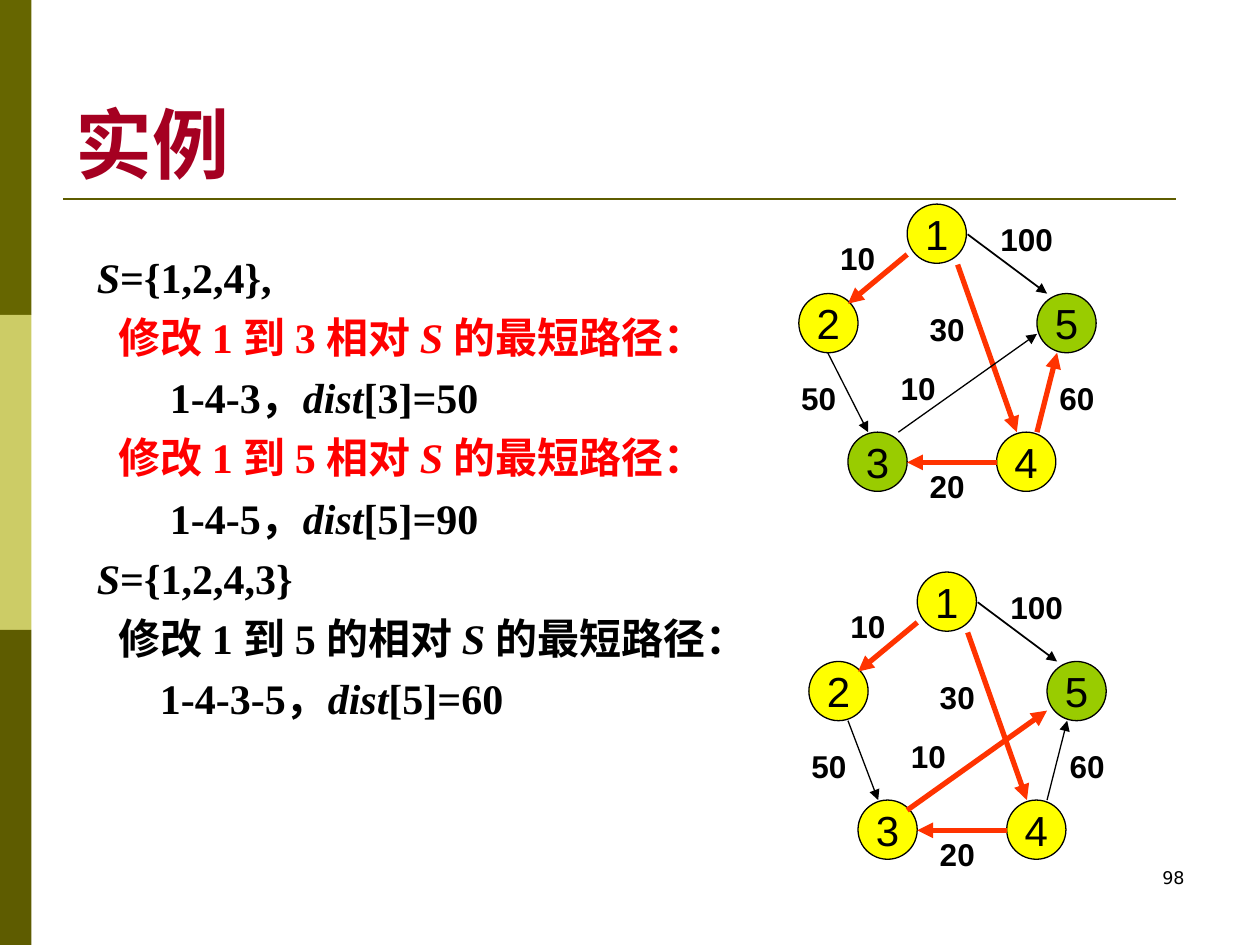
"""Build a slide tracing a shortest-path example on two weighted graphs."""
import lxml.etree
import pptx
import pptx.dml.color
import pptx.enum.shapes
import pptx.enum.text
import pptx.oxml.ns
import pptx.util

Inches = pptx.util.Inches
Pt = pptx.util.Pt
Shape = pptx.enum.shapes.MSO_SHAPE
Align = pptx.enum.text.PP_ALIGN
Anchor = pptx.enum.text.MSO_ANCHOR
qn = pptx.oxml.ns.qn


def color(value):
    return pptx.dml.color.RGBColor.from_string(value)


def connect(shapes, start, end, hue, width, arrow=True):
    line = shapes.add_connector(
        pptx.enum.shapes.MSO_CONNECTOR.STRAIGHT, *map(Inches, start + end))
    line.line.color.rgb = color(hue)
    line.line.width = Pt(width)
    if arrow:
        lxml.etree.SubElement(line.line._ln, qn("a:tailEnd"), type="triangle")
    lxml.etree.SubElement(line._element.spPr, qn("a:effectLst"))


deck = pptx.Presentation()
deck.slide_width, deck.slide_height = Inches(10), Inches(7.5)
slide = deck.slides.add_slide(deck.slide_layouts[6])

for row, hue in enumerate(["666600", "CCCC66", "5E5C00"]):
    band = slide.shapes.add_shape(
        Shape.RECTANGLE, 0, Inches(2.5 * row), Inches(0.25), Inches(2.5))
    band.shadow.inherit = False
    band.fill.solid()
    band.fill.fore_color.rgb = color(hue)
    band.line.fill.background()
connect(slide.shapes, (0.5, 1.58), (9.33, 1.58), "5E5C00", 1.5, arrow=False)

captions = [
    ("实例", (0.5, 0.3, 9, 1.25), 44, "Times New Roman", "A50021", True, Align.LEFT, Anchor.BOTTOM),
    ("98", (7.17, 6.83, 2.33, 0.5), 10, "DejaVu Sans", "000000", False, Align.RIGHT, Anchor.TOP),
]
for text, place, size, face, hue, bold, align, anchor in captions:
    caption = slide.shapes.add_textbox(*map(Inches, place)).text_frame
    caption.word_wrap = True
    caption.vertical_anchor = anchor
    paragraph = caption.paragraphs[0]
    paragraph.text = text
    paragraph.alignment = align
    paragraph.font.size, paragraph.font.name = Pt(size), face
    paragraph.font.bold = bold
    paragraph.font.color.rgb = color(hue)

steps = [
    (0, "000000", ["", "S", "={1,2,4},"]),
    (0.17, "FF0000", ["修改 1 到 3 相对 ", "S ", "的最短路径："]),
    (0.58, "000000", ["1-4-3，", "dist", "[3]=50"]),
    (0.17, "FF0000", ["修改 1 到 5 相对 ", "S ", "的最短路径："]),
    (0.58, "000000", ["1-4-5，", "dist", "[5]=90"]),
    (0, "000000", ["", "S", "={1,2,4,3}"]),
    (0.17, "000000", ["修改 1 到 5 的相对 ", "S ", "的最短路径："]),
    (0.5, "000000", ["1-4-3-5，", "dist", "[5]=60"]),
]
derivation = slide.shapes.add_textbox(*map(Inches, (0.67, 1.95, 5.98, 4.95))).text_frame
derivation.word_wrap = True
for index, (indent, hue, parts) in enumerate(steps):
    paragraph = derivation.add_paragraph() if index else derivation.paragraphs[0]
    paragraph._p.get_or_add_pPr().set("marL", str(Inches(indent)))
    paragraph.space_before = Pt(5.5)
    paragraph.font.size, paragraph.font.name = Pt(24), "Times New Roman"
    paragraph.font.bold = True
    paragraph.font.color.rgb = color(hue)
    for position, part in enumerate(parts):
        if part:
            run = paragraph.add_run()
            run.text = part
            run.font.italic = position == 1

nodes = {"1": (0.94, 0), "2": (0.08, 0.71), "3": (0.47, 1.81),
         "4": (1.65, 1.81), "5": (1.97, 0.71)}
weights = [("10", 0.31, 0.23), ("100", 1.58, 0.08), ("30", 1.02, 0.79),
           ("60", 2.05, 1.34), ("20", 1.02, 2.04), ("10", 0.79, 1.26),
           ("50", 0, 1.34)]
edges = {"15": (1.42, 0.24, 2.05, 0.71), "14": (1.34, 0.48, 1.81, 1.81),
         "35": (0.87, 1.81, 1.97, 1.03), "45": (1.97, 1.81, 2.13, 1.18),
         "12": (0.94, 0.4, 0.47, 0.79), "23": (0.31, 1.18, 0.63, 1.81),
         "43": (1.65, 2.05, 0.94, 2.05)}
graphs = [
    (6.26, 1.62, "35", ["14", "45", "12", "43"], {}),
    (6.34, 4.54, "5", ["14", "12", "43", "35"],
     {"35": (0.86, 1.89, 1.97, 1.1), "23": (0.39, 1.18, 0.63, 1.81)}),
]
for left, top, pending, chosen, rerouted in graphs:
    graph = slide.shapes.add_group_shape().shapes
    for label, (x, y) in nodes.items():
        node = graph.add_shape(
            Shape.OVAL, *map(Inches, (left + x, top + y, 0.47, 0.47)))
        node.shadow.inherit = False
        node.fill.solid()
        node.fill.fore_color.rgb = color("99CC00" if label in pending else "FFFF00")
        node.line.color.rgb = color("000000")
        node.line.width = Pt(0.75)
        node.text_frame.word_wrap = False
        node.text_frame.vertical_anchor = Anchor.MIDDLE
        paragraph = node.text_frame.paragraphs[0]
        paragraph.text = label
        paragraph.alignment = Align.CENTER
        paragraph.font.size, paragraph.font.name = Pt(24), "Arial"
        paragraph.font.color.rgb = color("000000")
    for weight, x, y in weights:
        width = 0.79 if len(weight) == 3 else 0.55
        cost = graph.add_textbox(*map(Inches, (left + x, top + y, width, 0.4))).text_frame
        cost.word_wrap = True
        paragraph = cost.paragraphs[0]
        paragraph.text = weight
        paragraph.font.size, paragraph.font.name = Pt(18), "Arial"
        paragraph.font.bold = True
        paragraph.font.color.rgb = color("000000")
    for edge, ends in (edges | rerouted).items():
        x1, y1, x2, y2 = ends
        hue, width = ("FF3300", 3) if edge in chosen else ("000000", 1 if edge == "15" else 0.75)
        connect(graph, (left + x1, top + y1), (left + x2, top + y2), hue, width)

deck.save("out.pptx")
